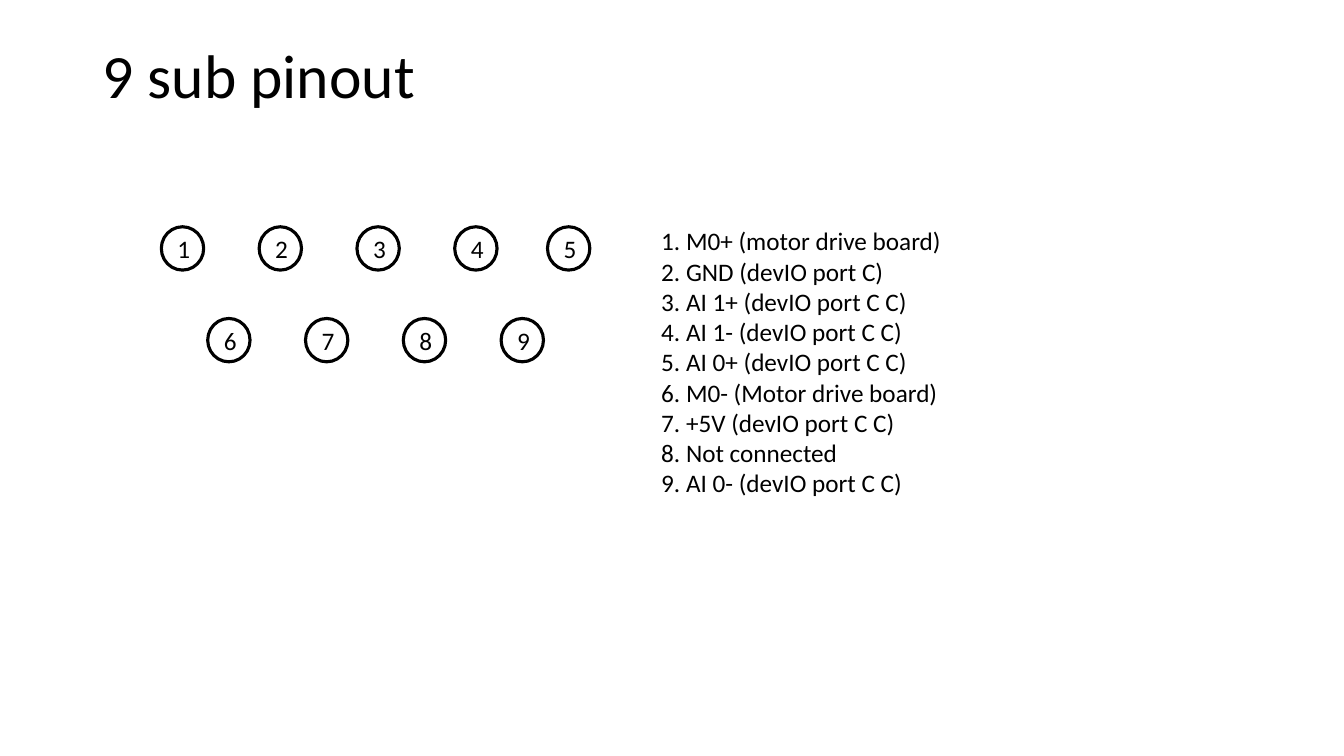
"""Build the 9 sub pinout slide: two staggered rows of pins and a signal list."""
from pptx import Presentation
from pptx import util as u
from pptx.dml.color import RGBColor
from pptx.enum import shapes, text

COLORS = {"ink": "000000", "paper": "FFFFFF"}
FONT = "Calibri"
PITCH, PIN_W, PIN_H = 0.97, 0.42, 0.43
LAST_TOP_LEFT = 5.43
PIN_ROWS = [(1, 5, 1.6, 2.25), (6, 4, 2.06, 3.16)]
SIGNALS = [
    "M0+ (motor drive board)",
    "GND (devIO port C)",
    "AI 1+ (devIO port C C)",
    "AI 1- (devIO port C C)",
    "AI 0+ (devIO port C C)",
    "M0- (Motor drive board)",
    "+5V (devIO port C C)",
    "Not connected",
    "AI 0- (devIO port C C)",
]


def color(name):
    return RGBColor.from_string(COLORS[name])


def write(sp, lines, size, align=text.PP_ALIGN.LEFT, spacing=None):
    tf = sp.text_frame
    tf.text = "\n".join(lines)
    for p in tf.paragraphs:
        p.alignment = align
        p.line_spacing = spacing
        for r in p.runs:
            r.font.name = FONT
            r.font.size = u.Pt(size)
            r.font.color.rgb = color("ink")
    return tf


prs = Presentation()
prs.slide_width, prs.slide_height = u.Inches(13.33), u.Inches(7.5)
s = prs.slides.add_slide(prs.slide_layouts[6])
s.background.fill.solid()
s.background.fill.fore_color.rgb = color("paper")

title = s.shapes.add_textbox(*map(u.Inches, (0.92, 0.4, 11.5, 1.45)))
tf = write(title, ["9 sub pinout"], 44, spacing=0.9)
tf.word_wrap = True

for first, count, left, top in PIN_ROWS:
    for col in range(count):
        x = min(left + col * PITCH, LAST_TOP_LEFT)
        pin = s.shapes.add_shape(shapes.MSO_SHAPE.OVAL,
                                 *map(u.Inches, (x, top, PIN_W, PIN_H)))
        pin.shadow.inherit = False
        pin.fill.solid()
        pin.fill.fore_color.rgb = color("paper")
        pin.line.color.rgb = color("ink")
        pin.line.width = u.Pt(2.25)
        tf = write(pin, [str(first + col)], 18, text.PP_ALIGN.CENTER)
        tf.vertical_anchor = text.MSO_ANCHOR.MIDDLE

legend = s.shapes.add_textbox(*map(u.Inches, (6.46, 2.19, 3.01, 2.83)))
tf = write(legend, [f"{n}. {signal}" for n, signal in enumerate(SIGNALS, 1)], 18)
tf.word_wrap = False
tf.auto_size = text.MSO_AUTO_SIZE.SHAPE_TO_FIT_TEXT

prs.save("out.pptx")
